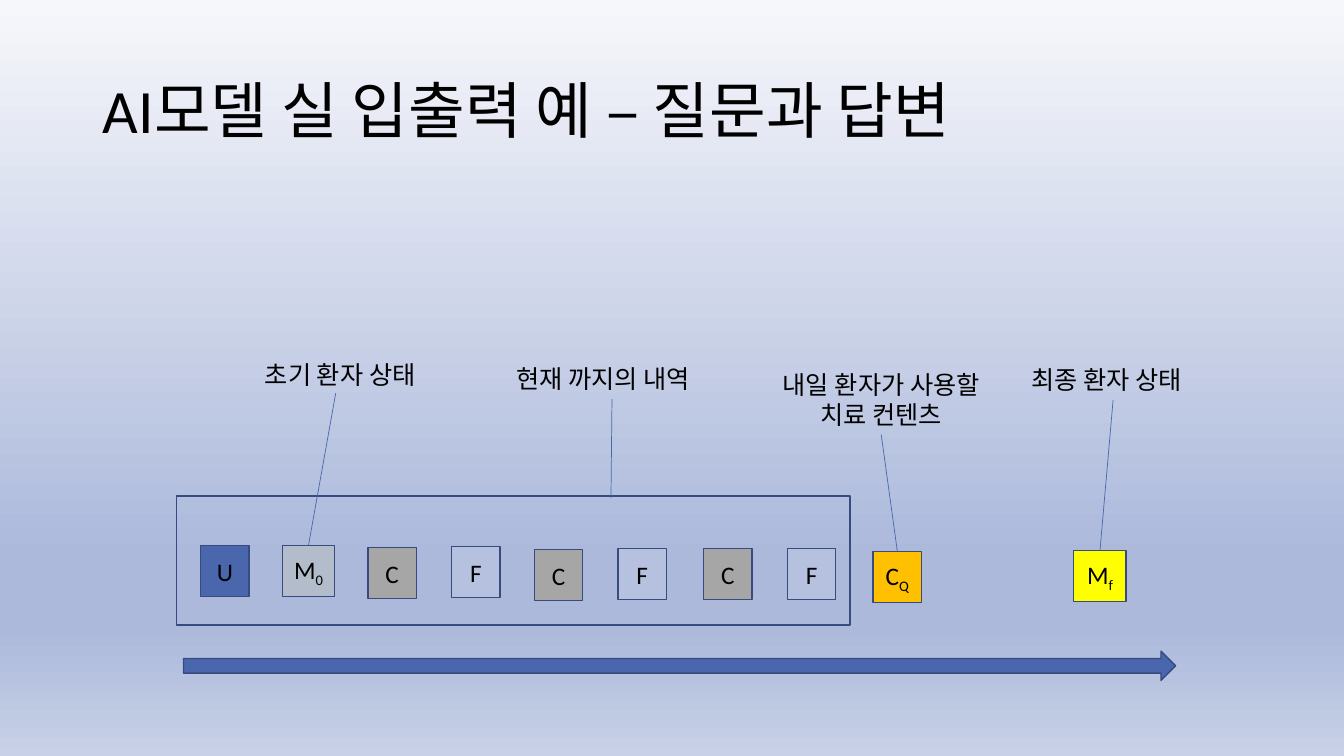
from dataclasses import dataclass

from lxml.etree import SubElement
from pptx import Presentation
from pptx.dml.color import RGBColor as Rgb
from pptx.enum.shapes import MSO_CONNECTOR as Link, MSO_SHAPE as Kind
from pptx.enum.text import MSO_ANCHOR as Anchor, MSO_AUTO_SIZE as Fit, PP_ALIGN as Align
from pptx.oxml.ns import qn
from pptx.util import Inches, Pt

BLUE, EDGE, GREY, PALE = "4A66AC", "374B7F", "A6A6A6", "B5C1DF"
STOPS = [(0, "F6F7FB"), (74, "ACB9DB"), (83, "ACB9DB"), (100, "C8D1E7")]


@dataclass
class Token:
    text: str
    left: float
    top: float
    fill: str
    sub: str = ""


@dataclass
class Label:
    lines: list[str]
    left: float
    top: float
    width: float
    height: float
    start: tuple[float, float]
    end: tuple[float, float]
    align: Align = Align.LEFT


TOKENS = [
    Token("U", 1.99, 5.41, BLUE),
    Token("M", 2.8, 5.41, "B2BCCB", "0"),
    Token("C", 3.65, 5.43, GREY),
    Token("F", 4.48, 5.42, PALE),
    Token("C", 5.3, 5.45, GREY),
    Token("F", 6.13, 5.44, PALE),
    Token("C", 6.98, 5.44, GREY),
    Token("F", 7.81, 5.44, PALE),
    Token("C", 8.66, 5.47, "FFC000", "Q"),
    Token("M", 10.65, 5.46, "FFFF00", "f"),
]

LABELS = [
    Label(["초기 환자 상태"], 2.53, 3.52, 1.83, 0.4, (3.33, 3.9), (3.06, 5.41)),
    Label(["현재 까지의 내역"], 5.02, 3.56, 2.08, 0.4, (6.07, 3.96), (6.06, 4.94)),
    Label(["최종 환자 상태"], 10.13, 3.57, 1.83, 0.4, (11.04, 3.97), (10.91, 5.46)),
    Label(["내일 환자가 사용할", "치료 컨텐츠"], 7.57, 3.61, 2.34, 0.71,
          (8.74, 4.31), (8.9, 5.47), Align.CENTER),
]


def color(code: str) -> Rgb:
    return Rgb.from_string(code)


def write(para, text: str, size: float = 18, sub: bool = False) -> None:
    run = para.add_run()
    run.text = text
    run.font.size = Pt(size)
    run.font.name = "Calibri"
    run.font.color.rgb = color("000000")
    if sub:
        run._r.get_or_add_rPr().set("baseline", "-25000")


def block(slide, kind: Kind, left: float, top: float, width: float,
          height: float, fill: str = ""):
    shape = slide.shapes.add_shape(
        kind, Inches(left), Inches(top), Inches(width), Inches(height))
    shape.shadow.inherit = False
    if fill:
        shape.fill.solid()
        shape.fill.fore_color.rgb = color(fill)
    else:
        shape.fill.background()
    shape.line.color.rgb = color(EDGE)
    shape.line.width = Pt(1)
    return shape


def draw_token(slide, token: Token) -> None:
    width = 0.52 if token.text == "M" else 0.48
    shape = block(slide, Kind.RECTANGLE, token.left, token.top, width, 0.51, token.fill)
    frame = shape.text_frame
    frame.word_wrap = False
    frame.vertical_anchor = Anchor.MIDDLE
    para = frame.paragraphs[0]
    para.alignment = Align.CENTER
    write(para, token.text)
    if token.sub:
        write(para, token.sub, sub=True)


def draw_label(slide, label: Label) -> None:
    box = slide.shapes.add_textbox(
        Inches(label.left), Inches(label.top), Inches(label.width), Inches(label.height))
    frame = box.text_frame
    frame.word_wrap = False
    frame.auto_size = Fit.SHAPE_TO_FIT_TEXT
    for index, line in enumerate(label.lines):
        para = frame.add_paragraph() if index else frame.paragraphs[0]
        para.alignment = label.align
        write(para, line)
    points = [Inches(value) for value in label.start + label.end]
    link = slide.shapes.add_connector(Link.STRAIGHT, *points)
    link.line.color.rgb = color(BLUE)
    link.line.width = Pt(0.5)
    SubElement(link._element.spPr, qn("a:effectLst"))


def paint(slide) -> None:
    fill = slide.background.fill
    fill.gradient()
    fill.gradient_angle = 270
    stops = slide._element.find(".//" + qn("a:gsLst"))
    for old in list(stops):
        stops.remove(old)
    for place, code in STOPS:
        stop = SubElement(stops, qn("a:gs"), pos=str(place * 1000))
        SubElement(stop, qn("a:srgbClr"), val=code)


def head(slide, text: str) -> None:
    title = slide.shapes.title
    title.left, title.top = Inches(0.92), Inches(0.4)
    title.width, title.height = Inches(11.5), Inches(1.45)
    frame = title.text_frame
    frame.word_wrap = True
    frame.vertical_anchor = Anchor.MIDDLE
    para = frame.paragraphs[0]
    para.alignment = Align.LEFT
    para.line_spacing = 0.9
    write(para, text, 44)


def main() -> None:
    deck = Presentation()
    deck.slide_width, deck.slide_height = Inches(13.33), Inches(7.5)
    slide = deck.slides.add_slide(deck.slide_layouts[5])
    paint(slide)
    head(slide, "AI모델 실 입출력 예 – 질문과 답변")
    for token in TOKENS:
        draw_token(slide, token)
    block(slide, Kind.RIGHT_ARROW, 1.82, 6.46, 9.84, 0.29, BLUE)
    block(slide, Kind.RECTANGLE, 1.75, 4.92, 6.68, 1.28)
    for label in LABELS:
        draw_label(slide, label)
    deck.save("out.pptx")


if __name__ == "__main__":
    main()
